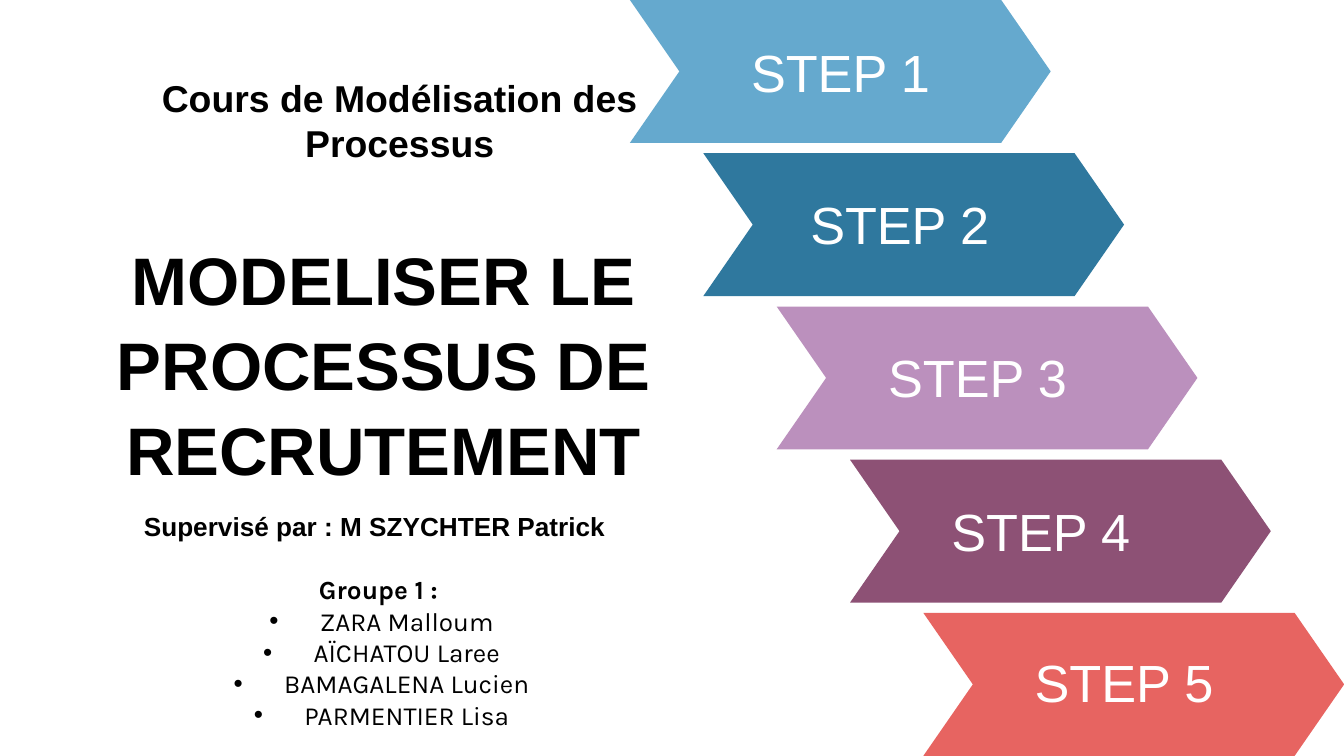
"""Build the title slide of a course on modelling the recruitment process."""
from dataclasses import dataclass, field

from lxml.etree import SubElement
from pptx import Presentation
from pptx.dml.color import RGBColor as Rgb
from pptx.enum.shapes import MSO_SHAPE as Preset
from pptx.enum.text import MSO_ANCHOR as Anchor, MSO_AUTO_SIZE as AutoSize, PP_ALIGN as Align
from pptx.oxml.ns import qn
from pptx.slide import Slide
from pptx.util import Pt


@dataclass(frozen=True)
class Theme:
    text: Rgb = field(default_factory=lambda: Rgb(0, 0, 0))
    step_text: Rgb = field(default_factory=lambda: Rgb(255, 255, 255))
    steps: tuple[str, ...] = ("65A9CE", "2F789E", "BB90BD", "8D5175", "E76461")
    heading_font: str = "Arial"
    list_font: str = "Karla"
    title_size: float = 36
    step_size: float = 28
    course_size: float = 20
    body_size: float = 14


@dataclass(frozen=True)
class Line:
    text: str
    size: float
    color: Rgb
    font: str
    bold: bool = True
    bullet: bool = False
    align: Align = Align.CENTER
    spacing: float = 1.0


@dataclass(frozen=True)
class Block:
    left: float
    top: float
    width: float
    height: float
    lines: tuple[Line, ...]
    inset: float = 3.6
    wrap: bool = True
    grow: bool = True
    anchor: Anchor = Anchor.TOP


THEME = Theme()
STEP_LEFT, STEP_WIDTH, STEP_HEIGHT, STEP_POINT = 337.5, 225.4, 76.5, 26.5
STEP_SHIFT, STEP_DROP = 39.3, 82.1
LABEL_POSITIONS = ((395.3, 18), (427, 99.4), (468.7, 181.4), (502.6, 264.2), (547.2, 344.9))
MEMBERS = ("ZARA Malloum", "AÏCHATOU Laree", "BAMAGALENA Lucien", "PARMENTIER Lisa")


def heading(text: str, size: float, spacing: float = 1.0) -> Line:
    """Return a bold centred heading line."""
    return Line(text, size, THEME.text, THEME.heading_font, spacing=spacing)


def step_label(number: int, left: float, top: float) -> Block:
    """Return the label of one step."""
    line = Line(f"STEP {number}", THEME.step_size, THEME.step_text,
                THEME.heading_font, bold=False, align=Align.LEFT)
    return Block(left, top, 120.2, 41, (line,))


def draw_step(slide: Slide, index: int, color: str) -> None:
    """Draw one chevron of the staircase."""
    shape = slide.shapes.add_shape(
        Preset.CHEVRON, Pt(STEP_LEFT + index * STEP_SHIFT), Pt(index * STEP_DROP),
        Pt(STEP_WIDTH), Pt(STEP_HEIGHT))
    shape.adjustments[0] = STEP_POINT / STEP_HEIGHT
    shape.shadow.inherit = False
    shape.fill.solid()
    shape.fill.fore_color.rgb = Rgb.from_string(color)
    shape.line.fill.background()


def draw_block(slide: Slide, block: Block) -> None:
    """Draw a text box with its paragraphs."""
    box = slide.shapes.add_textbox(Pt(block.left), Pt(block.top), Pt(block.width), Pt(block.height))
    frame = box.text_frame
    frame.word_wrap = block.wrap
    frame.auto_size = AutoSize.SHAPE_TO_FIT_TEXT if block.grow else AutoSize.NONE
    frame.vertical_anchor = block.anchor
    frame.margin_top = frame.margin_bottom = Pt(block.inset)
    for index, line in enumerate(block.lines):
        paragraph = frame.add_paragraph() if index else frame.paragraphs[0]
        paragraph.alignment = line.align
        paragraph.line_spacing = line.spacing
        if line.bullet:
            properties = paragraph._p.get_or_add_pPr()
            properties.set("marL", str(Pt(27)))
            properties.set("indent", str(Pt(-27)))
            SubElement(properties, qn("a:buFont"), typeface="Arial")
            SubElement(properties, qn("a:buChar"), char="•")
        paragraph.add_run().text = line.text
        font = paragraph.font
        font.name, font.size, font.bold = line.font, Pt(line.size), line.bold
        font.color.rgb = line.color


def main() -> None:
    """Assemble and save the presentation."""
    presentation = Presentation()
    presentation.slide_width, presentation.slide_height = Pt(720), Pt(405)
    slide = presentation.slides.add_slide(presentation.slide_layouts[6])
    for index, color in enumerate(THEME.steps):
        draw_step(slide, index, color)
    group = Line("Groupe 1 : ", THEME.body_size, THEME.text, THEME.list_font)
    members = tuple(Line(name, THEME.body_size, THEME.text, THEME.list_font, bold=False, bullet=True)
                    for name in MEMBERS)
    blocks = [
        Block(0, 128.9, 411.1, 129.6,
              (heading("MODELISER LE PROCESSUS DE RECRUTEMENT", THEME.title_size, 1.05),),
              inset=7.2, grow=False, anchor=Anchor.MIDDLE),
        Block(69, 270, 263.5, 24.2,
              (heading("Supervisé par : M SZYCHTER Patrick", THEME.body_size),), wrap=False),
        Block(62.6, 33.1, 303.1, 76.3,
              (heading("Cours de Modélisation des Processus", THEME.course_size),),
              inset=7.2, grow=False),
        Block(24.5, 303.8, 360, 92.2, (group, *members)),
    ]
    blocks += [step_label(number, *position) for number, position in enumerate(LABEL_POSITIONS, 1)]
    for block in blocks:
        draw_block(slide, block)
    presentation.save("out.pptx")


if __name__ == "__main__":
    main()
